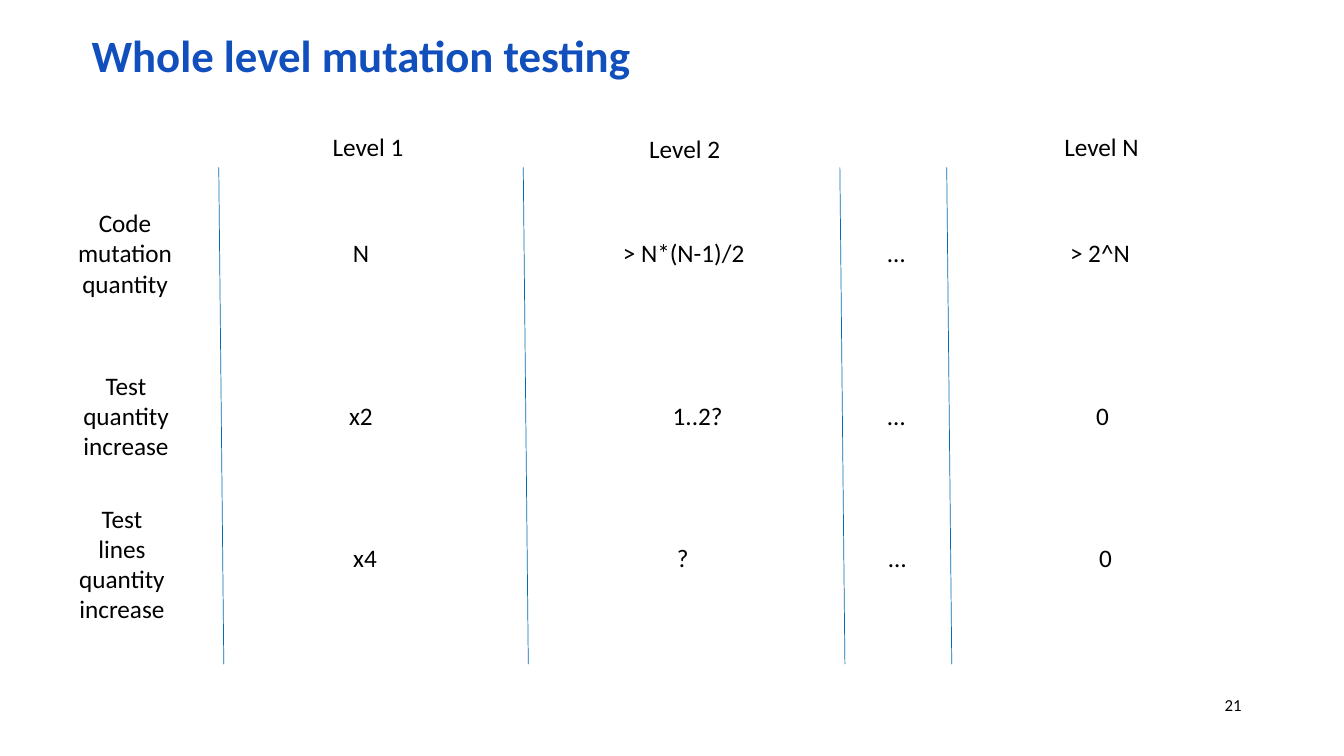
"""Build the slide on whole level mutation testing."""
from typing import NamedTuple

from pptx import Presentation
from pptx.dml.color import RGBColor
from pptx.enum.shapes import MSO_CONNECTOR as Connector
from pptx.enum.text import MSO_ANCHOR as Anchor, MSO_AUTO_SIZE as AutoSize, PP_ALIGN as Align
from pptx.oxml.ns import qn
from pptx.slide import Slide
from pptx.util import Inches, Pt
from lxml.etree import SubElement

COLORS = {"title": "114FBD", "text": "000000", "divider": "006CB7"}
FONT = "Calibri"
LINE_HEIGHT = 0.3
INSETS = 0.1


class Label(NamedTuple):
    lines: tuple[str, ...]
    left: float
    top: float
    width: float
    size: int = 18
    color: str = "text"
    bold: bool = False
    align: Align = Align.CENTER
    spacing: float = 1.0
    wrap: bool = False


class Row(NamedTuple):
    top: float
    heading: Label
    cells: tuple[tuple[str, float, float], ...]


def add_label(page: Slide, label: Label) -> None:
    height = LINE_HEIGHT * len(label.lines) + INSETS
    box = page.shapes.add_textbox(
        Inches(label.left), Inches(label.top), Inches(label.width), Inches(height)
    )
    frame = box.text_frame
    frame.word_wrap = label.wrap
    frame.auto_size = AutoSize.NONE if label.wrap else AutoSize.SHAPE_TO_FIT_TEXT
    frame.vertical_anchor = Anchor.TOP
    for index, line in enumerate(label.lines):
        para = frame.add_paragraph() if index else frame.paragraphs[0]
        para.alignment = label.align
        para.line_spacing = label.spacing
        span = para.add_run()
        span.text = line
        span.font.name = FONT
        span.font.size = Pt(label.size)
        span.font.bold = label.bold
        span.font.color.rgb = RGBColor.from_string(COLORS[label.color])


def add_divider(page: Slide, left: float) -> None:
    line = page.shapes.add_connector(
        Connector.STRAIGHT, Inches(left), Inches(1.66), Inches(left + 0.05), Inches(6.59)
    )
    line.line.color.rgb = RGBColor.from_string(COLORS["divider"])
    line.line.width = Pt(0.5)
    SubElement(line.element.spPr, qn("a:effectLst"))


TITLE = Label(("Whole level mutation testing",), 0.81, 0.29, 9.64, 32, "title", True,
              Align.LEFT, 0.9, True)
PAGE_NUMBER = Label(("21",), 11.95, 6.84, 0.56, 12, wrap=True)
LEVELS = (
    Label(("Level 1",), 3.19, 1.25, 0.92),
    Label(("Level 2",), 6.33, 1.27, 0.92),
    Label(("Level N",), 10.45, 1.25, 0.95),
)
ROWS = (
    Row(2.31, Label(("Code", "mutation", "quantity"), 0.67, 2.01, 1.14),
        (("N", 3.4, 0.36), ("> N*(N-1)/2", 6.07, 1.42), ("…", 8.7, 0.38), ("> 2^N", 10.51, 0.8))),
    Row(3.92, Label(("Test", "quantity", "increase"), 0.72, 3.62, 1.06),
        (("x2", 3.36, 0.44), ("1..2?", 6.57, 0.7), ("…", 8.7, 0.38), ("0", 10.77, 0.33))),
    Row(5.33, Label(("Test", "lines", "quantity", "increase"), 0.68, 4.94, 1.06),
        (("x4", 3.4, 0.44), ("?", 6.61, 0.32), ("…", 8.71, 0.38), ("0", 10.8, 0.33))),
)
DIVIDERS = (2.17, 5.19, 8.33, 9.39)

deck = Presentation()
deck.slide_width = Inches(13.33)
deck.slide_height = Inches(7.5)
page = deck.slides.add_slide(deck.slide_layouts[6])

for label in (TITLE, *LEVELS, PAGE_NUMBER):
    add_label(page, label)
for left in DIVIDERS:
    add_divider(page, left)
for row in ROWS:
    add_label(page, row.heading)
    for text, left, width in row.cells:
        add_label(page, Label((text,), left, row.top, width))

deck.save("out.pptx")
